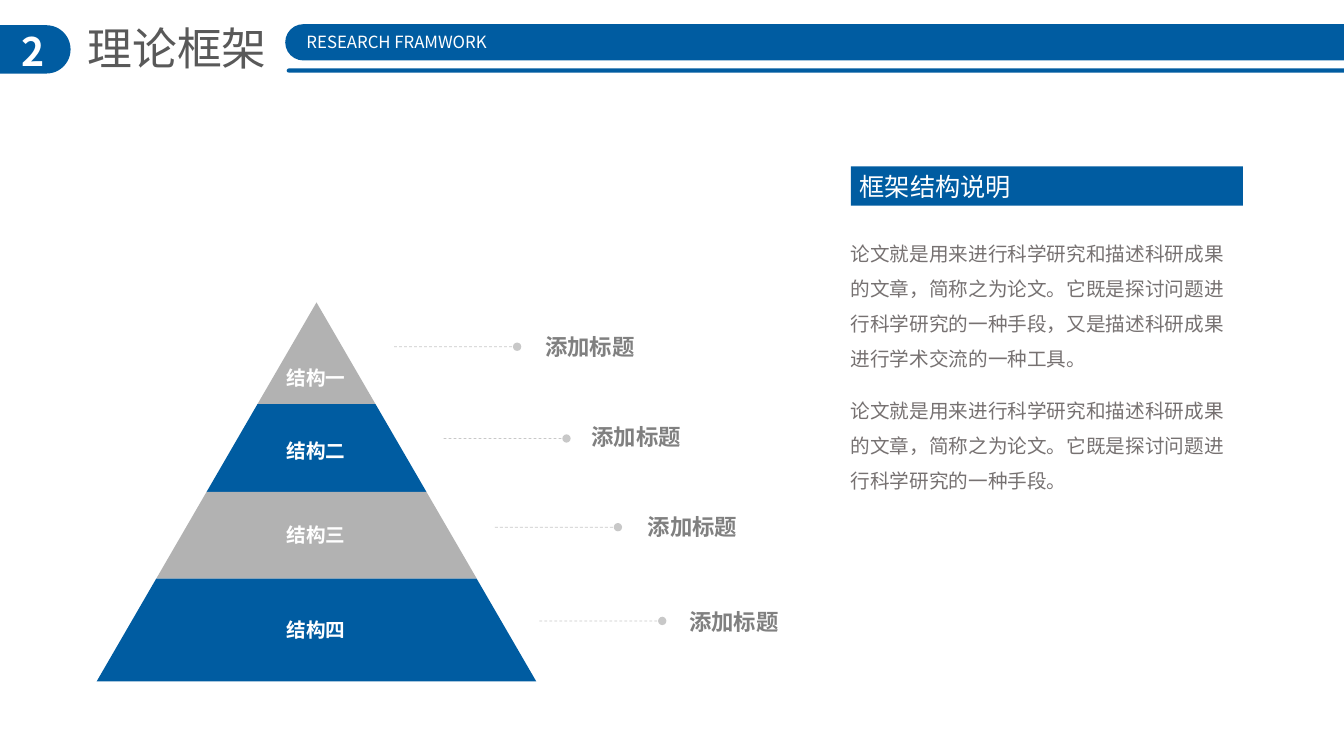
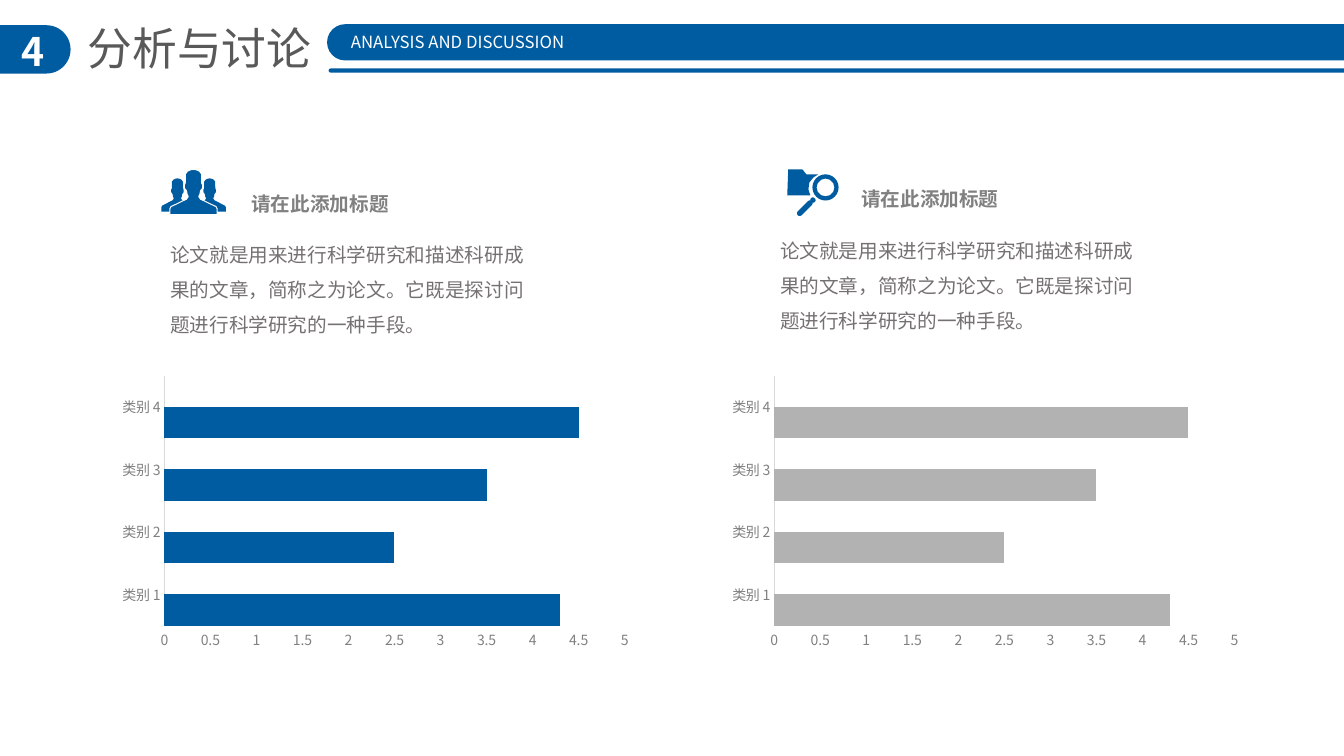
from lxml import etree
from pptx import Presentation, util as u
from pptx.chart.data import CategoryChartData
from pptx.dml.color import RGBColor
from pptx.enum import chart as charts, dml, shapes, text
from pptx.oxml.ns import qn

COLORS = {
    "blue": "005CA1",
    "silver": "B2B2B2",
    "label": "808080",
    "body": "767171",
    "title": "595959",
    "white": "FFFFFF",
    "axis": "D9D9D9",
}
FONT = "Noto Sans CJK SC"
CELL = u.Inches(0.1)
COLUMNS, ROWS = 133.33, 75

INTRO = "论文就是用来进行科学研究和描述科研成果的文章，简称之为论文。它既是探讨问题进行科学研究的一种手段"
SHORT_BODY = INTRO + "。"
LONG_BODY = INTRO + "，又是描述科研成果进行学术交流的一种工具。"

PERSON_PROFILE = [
    (0, 0), (0.12, 0.01), (0.25, 0.04), (0.34, 0.1), (0.35, 0.31),
    (0.39, 0.34), (0.38, 0.42), (0.3, 0.47), (0.27, 0.55), (0.22, 0.6),
    (0.3, 0.66), (0.43, 0.69), (0.74, 0.77), (0.95, 0.82), (1, 0.87), (1, 1),
]
FOLDER = [
    (78.2, 16.8), (79.6, 16.8), (80, 17.3), (81.2, 17.3), (80.7, 17.6),
    (80.3, 18.1), (80.2, 18.8), (80.4, 19.4), (78.1, 19.4),
]


def cells(*lengths):
    return [u.Emu(round(length * CELL)) for length in lengths]


def rgb(name):
    return RGBColor.from_string(COLORS[name])


class Deck:
    def __init__(self):
        self.presentation = Presentation()
        self.presentation.slide_width, self.presentation.slide_height = cells(COLUMNS, ROWS)
        self.slide = None

    def add_slide(self):
        self.slide = self.presentation.slides.add_slide(self.presentation.slide_layouts[6])

    def style_font(self, font, size, color, bold=False):
        font.size = u.Pt(size)
        font.bold = bold
        font.color.rgb = rgb(color)
        font.name = FONT
        etree.SubElement(font._rPr, qn("a:ea"), typeface=FONT)

    def paint(self, shape, color):
        shape.shadow.inherit = False
        shape.fill.solid()
        shape.fill.fore_color.rgb = rgb(color)
        shape.line.fill.background()
        return shape

    def shape(self, kind, column, row, width, height, color="blue", adjustment=None):
        shape = self.slide.shapes.add_shape(kind, *cells(column, row, width, height))
        if adjustment is not None:
            shape.adjustments[0] = adjustment
        return self.paint(shape, color)

    def pill(self, column, row, width, height):
        return self.shape(shapes.MSO_SHAPE.ROUNDED_RECTANGLE, column, row, width, height,
                          adjustment=0.5)

    def outline(self, points, color="blue"):
        points = [cells(*point) for point in points]
        builder = self.slide.shapes.build_freeform(*points[0])
        builder.add_line_segments(points[1:])
        return self.paint(builder.convert_to_shape(), color)

    def text(self, content, column, row, width, height, size, color,
             bold=False, wrap=False, centered=False, spacing=None):
        box = self.slide.shapes.add_textbox(*cells(column, row, width, height))
        frame = box.text_frame
        frame.word_wrap = wrap
        frame.auto_size = text.MSO_AUTO_SIZE.SHAPE_TO_FIT_TEXT
        paragraph = frame.paragraphs[0]
        paragraph.text = content
        paragraph.alignment = text.PP_ALIGN.CENTER if centered else text.PP_ALIGN.LEFT
        if spacing:
            paragraph.line_spacing = spacing
        self.style_font(paragraph.font, size, color, bold)

    def body(self, content, column, row, width, height):
        self.text(content, column, row, width, height, 14, "body", wrap=True, spacing=1.5)

    def header(self, number, title, subtitle, title_width, bar_column, subtitle_width):
        self.pill(-2.8, 2.5, 9.8, 4.8)
        self.text(number, 0.7, 2.2, 5.1, 5.7, 28, "white", bold=True, wrap=True, centered=True)
        self.text(title, 7.7, 1.6, title_width, 6.4, 32, "title")
        self.pill(bar_column, 2.4, 110.3, 3.6)
        self.pill(bar_column + 0.15, 6.8, 110.3, 0.4)
        self.text(subtitle, bar_column + 0.45, 2.65, subtitle_width, 3, 12, "white", centered=True)

    def leader(self, column, row, length):
        start_x, end_x, y = cells(column, column + length, row)
        connector = self.slide.shapes.add_connector(shapes.MSO_CONNECTOR.STRAIGHT,
                                                    start_x, y, end_x, y)
        line = connector.line
        line.width = u.Pt(0.5)
        line.color.rgb = rgb("silver")
        line.dash_style = dml.MSO_LINE.DASH
        properties = connector._element.spPr
        color = properties.find(".//" + qn("a:srgbClr"))
        etree.SubElement(color, qn("a:alpha"), val="70000")
        etree.SubElement(properties.find(qn("a:ln")), qn("a:tailEnd"), type="oval")
        etree.SubElement(properties, qn("a:effectLst"))

    def pyramid(self, center, edges, slope, labels):
        for index, (name, label_row) in enumerate(labels):
            top, bottom = edges[index:index + 2]
            upper, lower = [(row - edges[0]) * slope for row in (top, bottom)]
            self.outline([(center - upper, top), (center + upper, top),
                          (center + lower, bottom), (center - lower, bottom)],
                         "blue" if index % 2 else "silver")
            self.text(name, center - 3.95, label_row, 7.9, 3.4, 14, "white", bold=True)

    def person(self, center, top, half_width, height):
        right = [(center + x * half_width, top + y * height) for x, y in PERSON_PROFILE]
        left = [(2 * center - x, y) for x, y in reversed(right)]
        return self.outline(right + left)

    def people_icon(self):
        for center in (17.6, 20.8):
            self.person(center, 17.7, 1.6, 3.3)
        leader = self.person(19.2, 16.8, 2.35, 4.5)
        leader.line.color.rgb = rgb("white")
        leader.line.width = u.Pt(0.75)

    def search_icon(self):
        self.outline(FOLDER)
        self.shape(shapes.MSO_SHAPE.DONUT, 80.6, 17.3, 2.6, 2.6, adjustment=0.16)
        for center, row, length in ((79.85, 20.65, 2.0), (80.65, 19.85, 0.5)):
            self.pill(center - length / 2, row - 0.27, length, 0.54).rotation = -45

    def bar_chart(self, column, row, width, height, color):
        data = CategoryChartData()
        data.categories = [f"类别 {number}" for number in range(1, 5)]
        data.add_series("Series 1", (4.3, 2.5, 3.5, 4.5))
        for name in ("Series 2", "Series 3"):
            data.add_series(name, (None,) * 4)
        chart = self.slide.shapes.add_chart(charts.XL_CHART_TYPE.BAR_CLUSTERED,
                                            *cells(column, row, width, height), data).chart
        chart.has_legend = chart.has_title = False
        self.style_font(chart.font, 10, "label")
        plot = chart.plots[0]
        plot.vary_by_categories = False
        plot.gap_width, plot.overlap = 0, 50
        for series in plot.series:
            series.format.fill.solid()
            series.format.fill.fore_color.rgb = rgb(color)
        for axis in (chart.category_axis, chart.value_axis):
            axis.has_major_gridlines = False
            axis.major_tick_mark = axis.minor_tick_mark = charts.XL_TICK_MARK.NONE
            self.style_font(axis.tick_labels.font, 10, "label")
        chart.category_axis.format.line.color.rgb = rgb("axis")
        chart.category_axis.format.line.width = u.Pt(0.75)
        values = chart.value_axis
        values.format.line.fill.background()
        values.minimum_scale, values.maximum_scale, values.major_unit = 0, 5, 0.5


def framework_slide(deck):
    deck.add_slide()
    callouts = [(39.1, 34.4, 53.1, 32.6), (44, 43.5, 57.7, 41.5),
                (49.1, 52.3, 63.3, 50.4), (53.5, 61.6, 67.4, 59.8)]
    for line_column, line_row, column, row in callouts:
        deck.leader(line_column, line_row, 12.2)
        deck.text("添加标题", column, row, 11, 3.7, 16, "label", bold=True)
    deck.pyramid(31.4, (30, 40.1, 48.8, 57.4, 67.6), 0.58,
                 [("结构一", 35.8), ("结构二", 43.1), ("结构三", 51.4), ("结构四", 60.8)])
    deck.shape(shapes.MSO_SHAPE.RECTANGLE, 84.4, 16.5, 38.9, 3.9)
    deck.text("框架结构说明", 84.3, 16.5, 17.2, 4, 18, "white", wrap=True)
    deck.body(LONG_BODY, 83.4, 22.3, 40.3, 15.1)
    deck.body(SHORT_BODY, 83.4, 37.9, 40.3, 11.6)
    deck.header("2", "理论框架", "RESEARCH FRAMWORK", 20, 28.3, 21.2)


def discussion_slide(deck):
    deck.add_slide()
    for column, color in ((11.1, "blue"), (71.6, "silver")):
        deck.bar_chart(column, 36.7, 52.3, 28.3, color)
    deck.header("4", "分析与讨论", "ANALYSIS AND DISCUSSION", 24.5, 32.45, 25)
    deck.people_icon()
    deck.search_icon()
    for column, row, width in ((15.9, 18.5, 37.5), (76.4, 18.1, 38.4)):
        deck.text("请在此添加标题", column + 8.05, row, 15.8, 3.4, 14, "label", bold=True)
        deck.body(SHORT_BODY, column, row + 3.9, width, 11.6)


def main():
    deck = Deck()
    framework_slide(deck)
    discussion_slide(deck)
    deck.presentation.save("out.pptx")


if __name__ == "__main__":
    main()
